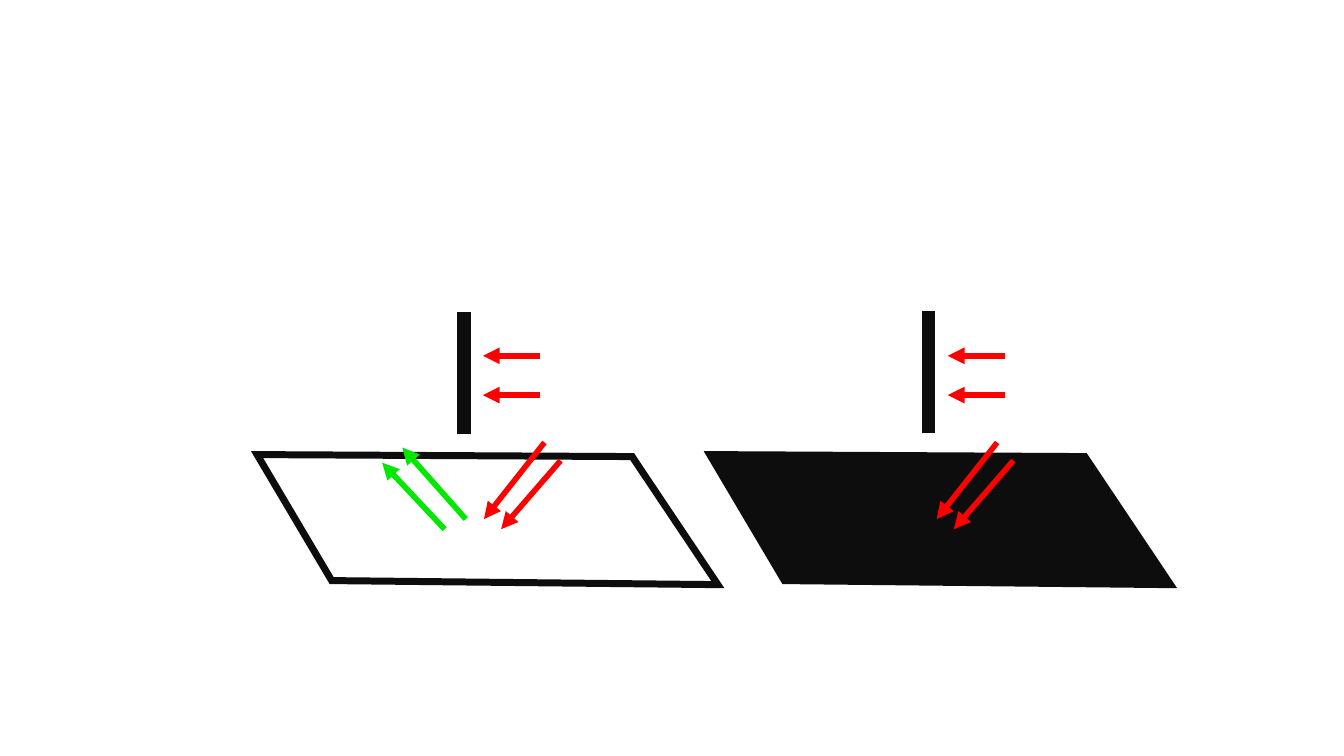
from dataclasses import dataclass

from lxml.etree import SubElement
from pptx import Presentation
from pptx.dml.color import RGBColor
from pptx.dml.line import LineFormat
from pptx.enum.shapes import MSO_CONNECTOR, MSO_SHAPE
from pptx.oxml.ns import qn
from pptx.shapes.autoshape import Shape
from pptx.slide import Slide
from pptx.util import Inches, Pt

Point = tuple[float, float]


@dataclass(frozen=True)
class Theme:
    white: RGBColor = RGBColor(0xFF, 0xFF, 0xFF)
    black: RGBColor = RGBColor(0x0D, 0x0D, 0x0D)
    incoming: RGBColor = RGBColor(0xFF, 0x00, 0x00)
    reflected: RGBColor = RGBColor(0x00, 0xE8, 0x00)
    plate_line: float = 5
    ray_line: float = 4
    bar_line: float = 1


@dataclass(frozen=True)
class Ray:
    start: Point
    end: Point
    color: RGBColor


@dataclass(frozen=True)
class Panel:
    plate_left: float
    plate_fill: RGBColor
    bar_left: float
    bar_top: float
    reflects: bool


THEME = Theme()

# Plate corners and rays are measured from the plate's top left corner
PLATE_TOP = 4.51
PLATE_CORNERS: list[Point] = [(0, 0), (0.74, 1.25), (4.57, 1.29), (3.72, 0.02)]
INCOMING_RAYS = [
    Ray((2.85, -0.12), (2.25, 0.64), THEME.incoming),
    Ray((3.01, 0.06), (2.42, 0.74), THEME.incoming),
]
REFLECTED_RAYS = [
    Ray((1.86, 0.74), (1.24, 0.08), THEME.reflected),
    Ray((2.07, 0.64), (1.44, -0.07), THEME.reflected),
]

# Upright bar and the level rays that reach it
BAR_WIDTH, BAR_HEIGHT = 0.12, 1.2
LEVEL_RAY_HEIGHTS = (3.53, 3.92)
LEVEL_RAY_START, LEVEL_RAY_END = 0.82, 0.25

PANELS = [
    Panel(2.55, THEME.white, 4.54, 3.1, True),
    Panel(7.04, THEME.black, 9.15, 3.09, False),
]


def format_line(line: LineFormat, color: RGBColor, width: float) -> None:
    line.fill.solid()
    for target, values in (
        (line, {"width": Pt(width)}),
        (line.color, {"rgb": color}),
    ):
        for name, value in values.items():
            setattr(target, name, value)


def format_solid(shape: Shape, fill: RGBColor, line_width: float) -> None:
    shape.shadow.inherit = False
    shape.fill.solid()
    shape.fill.fore_color.rgb = fill
    format_line(shape.line, THEME.black, line_width)
    # Sharp corners
    outline = shape.line._get_or_add_ln()
    SubElement(outline, qn("a:miter"), lim="800000")


def draw_plate(page: Slide, panel: Panel) -> None:
    corners = [
        (Inches(panel.plate_left + x), Inches(PLATE_TOP + y))
        for x, y in PLATE_CORNERS
    ]
    builder = page.shapes.build_freeform(*corners[0])
    builder.add_line_segments(corners[1:], close=True)
    format_solid(builder.convert_to_shape(), panel.plate_fill, THEME.plate_line)


def draw_bar(page: Slide, panel: Panel) -> None:
    bar = page.shapes.add_shape(
        MSO_SHAPE.RECTANGLE,
        Inches(panel.bar_left),
        Inches(panel.bar_top),
        Inches(BAR_WIDTH),
        Inches(BAR_HEIGHT),
    )
    format_solid(bar, THEME.black, THEME.bar_line)


def draw_ray(page: Slide, ray: Ray, left: float = 0, top: float = 0) -> None:
    arrow = page.shapes.add_connector(
        MSO_CONNECTOR.STRAIGHT,
        Inches(left + ray.start[0]),
        Inches(top + ray.start[1]),
        Inches(left + ray.end[0]),
        Inches(top + ray.end[1]),
    )
    format_line(arrow.line, ray.color, THEME.ray_line)
    # Arrowhead at the far end, and no shadow
    SubElement(arrow.line._get_or_add_ln(), qn("a:tailEnd"), type="triangle")
    SubElement(arrow._element.spPr, qn("a:effectLst"))


def draw_panel(page: Slide, panel: Panel) -> None:
    # Plate with its slanted rays
    draw_plate(page, panel)
    for ray in INCOMING_RAYS + (REFLECTED_RAYS if panel.reflects else []):
        draw_ray(page, ray, panel.plate_left, PLATE_TOP)

    # Bar with its level rays
    draw_bar(page, panel)
    for height in LEVEL_RAY_HEIGHTS:
        level_ray = Ray(
            (LEVEL_RAY_START, height), (LEVEL_RAY_END, height), THEME.incoming
        )
        draw_ray(page, level_ray, panel.bar_left)


def main() -> None:
    deck = Presentation()
    deck.slide_width, deck.slide_height = Inches(13.33), Inches(7.5)
    page = deck.slides.add_slide(deck.slide_layouts[6])
    for panel in PANELS:
        draw_panel(page, panel)
    deck.save("out.pptx")


if __name__ == "__main__":
    main()
